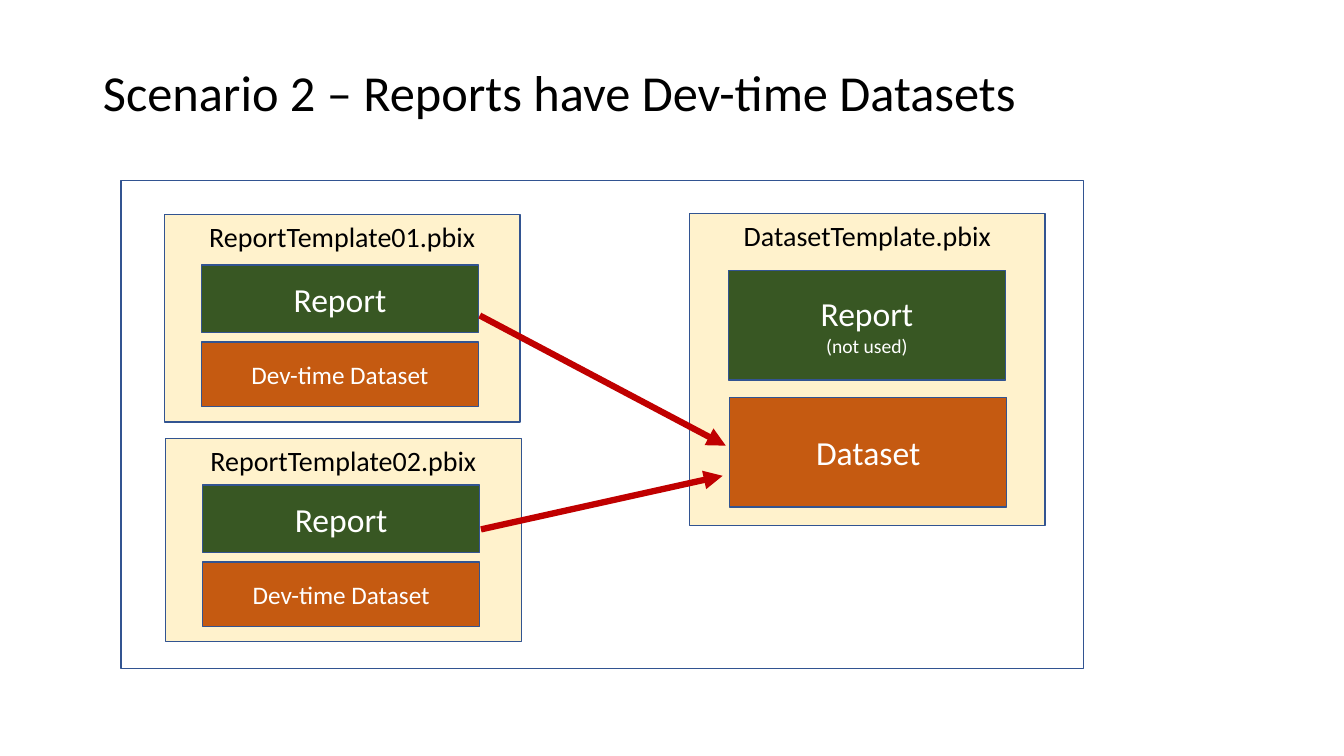
from lxml.etree import SubElement
from pptx import Presentation
from pptx.dml.color import RGBColor
from pptx.enum.shapes import MSO_CONNECTOR, MSO_SHAPE
from pptx.enum.text import MSO_ANCHOR, MSO_AUTO_SIZE, PP_ALIGN
from pptx.oxml.ns import qn
from pptx.util import Cm, Pt

HUES = {
    "black": "000000",
    "white": "FFFFFF",
    "edge": "325491",
    "cream": "FFF2CC",
    "green": "385723",
    "orange": "C55A11",
    "red": "C00000",
}
PANEL_W = 8.97
BLOCK_W = 6.98


def hue(name):
    return RGBColor.from_string(HUES[name])


def write(frame, *lines, color="white", align=PP_ALIGN.CENTER,
          anchor=MSO_ANCHOR.MIDDLE, spacing=None):
    frame.word_wrap = True
    frame.auto_size = MSO_AUTO_SIZE.NONE
    frame.vertical_anchor = anchor
    for i, (words, size) in enumerate(lines):
        para = frame.paragraphs[0] if i == 0 else frame.add_paragraph()
        para.alignment = align
        para.line_spacing = spacing
        run = para.add_run()
        run.text = words
        run.font.name = "Calibri"
        run.font.size = Pt(size)
        run.font.color.rgb = hue(color)


def add_box(slide, left, top, width, height, fill=None):
    box = slide.shapes.add_shape(
        MSO_SHAPE.RECTANGLE, Cm(left), Cm(top), Cm(width), Cm(height))
    box.shadow.inherit = False
    if fill:
        box.fill.solid()
        box.fill.fore_color.rgb = hue(fill)
    else:
        box.fill.background()
    box.line.color.rgb = hue("edge")
    box.line.width = Pt(1)
    return box


def add_panel(slide, name, left, top, height):
    panel = add_box(slide, left, top, PANEL_W, height, "cream")
    write(panel.text_frame, (name, 20), color="black", anchor=MSO_ANCHOR.TOP)


def add_block(slide, left, top, height, fill, *lines):
    block = add_box(slide, left, top, BLOCK_W, height, fill)
    write(block.text_frame, *lines)


def add_report(slide, name, left, top, height, inner):
    add_panel(slide, name, left, top, height)
    add_block(slide, left + 0.94, inner, 1.7, "green", ("Report", 24))
    add_block(slide, left + 0.94, inner + 1.94, 1.63, "orange",
              ("Dev-time Dataset", 18))


def add_arrow(slide, *ends):
    arrow = slide.shapes.add_connector(
        MSO_CONNECTOR.STRAIGHT, *[Cm(end) for end in ends])
    arrow.line.color.rgb = hue("red")
    arrow.line.width = Pt(4.5)
    props = arrow._element.spPr
    SubElement(props.find(qn("a:ln")), qn("a:tailEnd"), type="triangle")
    SubElement(props, qn("a:effectLst"))


def add_title(slide, words):
    title = slide.shapes.title
    title.left, title.top = Cm(2.34), Cm(1.02)
    title.width, title.height = Cm(29.21), Cm(2.77)
    write(title.text_frame, (words, 36), color="black",
          align=PP_ALIGN.LEFT, spacing=0.9)


def main():
    deck = Presentation()
    deck.slide_width, deck.slide_height = Cm(33.87), Cm(19.05)
    slide = deck.slides.add_slide(deck.slide_layouts[5])

    add_title(slide, "Scenario 2 – Reports have Dev-time Datasets")
    add_box(slide, 3.05, 4.55, 24.26, 12.29)

    add_panel(slide, "DatasetTemplate.pbix", 17.37, 5.38, 7.87)
    add_block(slide, 18.39, 10.01, 2.77, "orange", ("Dataset", 24))
    add_block(slide, 18.36, 6.81, 2.77, "green",
              ("Report", 24), ("(not used)", 14))

    add_report(slide, "ReportTemplate01.pbix", 4.14, 5.41, 5.23, 6.68)
    add_report(slide, "ReportTemplate02.pbix", 4.17, 11.05, 5.11, 12.22)

    add_arrow(slide, 12.09, 7.95, 18.29, 11.23)
    add_arrow(slide, 12.12, 13.34, 18.21, 11.99)

    deck.save("out.pptx")


main()
